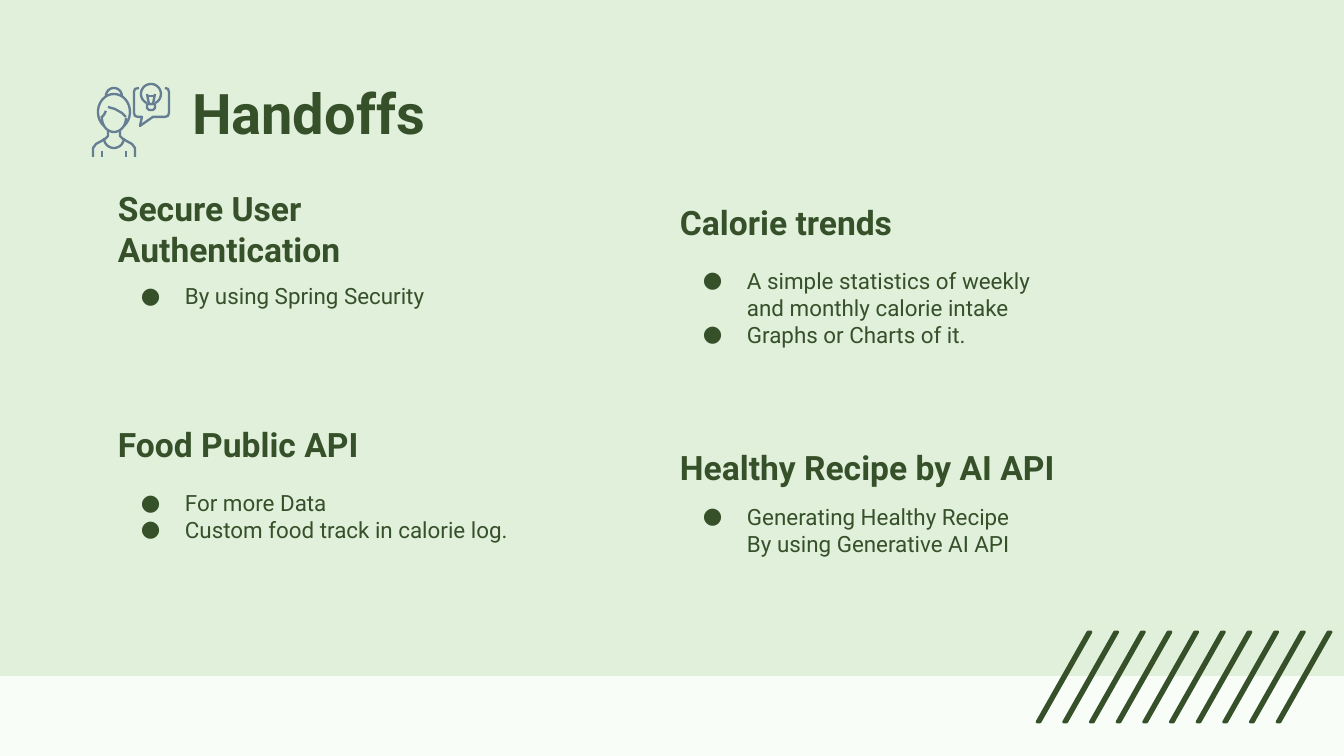
import math
from dataclasses import dataclass

import lxml.etree
import pptx
import pptx.dml.color
import pptx.enum.shapes
import pptx.enum.text
import pptx.oxml.ns
import pptx.util

EMU_PER_PX = 914400 / 134.4


@dataclass(frozen=True)
class Theme:
    font: str = "Roboto"
    page: str = "F9FDF8"
    panel: str = "E0F0DA"
    ink: str = "36502A"
    icon: str = "657E93"
    title_size: int = 30
    heading_size: int = 18
    body_size: int = 12
    stripe_line: float = 1.5
    icon_line: float = 1.25


THEME = Theme()


def px(length):
    return pptx.util.Emu(round(length * EMU_PER_PX))


def rgb(value):
    return pptx.dml.color.RGBColor.from_string(value)


def paint(shape, fill, line=None, width=0):
    shape.shadow.inherit = False
    if fill:
        shape.fill.solid()
        shape.fill.fore_color.rgb = rgb(fill)
    else:
        shape.fill.background()
    if line:
        shape.line.color.rgb = rgb(line)
        shape.line.width = pptx.util.Pt(width)
    else:
        shape.line.fill.background()


def add_outline(slide, points, close):
    corners = [(px(x), px(y)) for x, y in points]
    builder = slide.shapes.build_freeform(*corners[0], scale=1.0)
    builder.add_line_segments(corners[1:], close=close)
    return builder.convert_to_shape()


def arc(cx, cy, rx, ry, start, end, steps=24):
    """Points along an ellipse; angles run clockwise from the right."""
    angles = [math.radians(start + (end - start) * i / steps) for i in range(steps + 1)]
    return [(cx + rx * math.cos(a), cy + ry * math.sin(a)) for a in angles]


def add_text_frame(slide, box, anchor):
    frame = slide.shapes.add_textbox(*map(px, box)).text_frame
    frame.word_wrap = True
    frame.vertical_anchor = anchor
    frame.margin_left = frame.margin_right = px(13)
    frame.margin_top = frame.margin_bottom = px(13)
    return frame


def add_run(paragraph, text, size, bold=False):
    run = paragraph.add_run()
    run.text = text
    run.font.name = THEME.font
    run.font.size = pptx.util.Pt(size)
    run.font.bold = bold
    run.font.color.rgb = rgb(THEME.ink)


def indent(paragraph, bulleted):
    qn = pptx.oxml.ns.qn
    properties = paragraph._p.get_or_add_pPr()
    properties.set("marL", str(px(67)))
    properties.set("indent", str(px(-44 if bulleted else 0)))
    if bulleted:
        colour = lxml.etree.SubElement(properties, qn("a:buClr"))
        lxml.etree.SubElement(colour, qn("a:srgbClr"), val=THEME.ink)
        lxml.etree.SubElement(properties, qn("a:buFont"), typeface=THEME.font)
        lxml.etree.SubElement(properties, qn("a:buChar"), char="●")
    else:
        lxml.etree.SubElement(properties, qn("a:buNone"))


def add_backdrop(slide, box):
    slide.background.fill.solid()
    slide.background.fill.fore_color.rgb = rgb(THEME.page)
    panel = slide.shapes.add_shape(pptx.enum.shapes.MSO_SHAPE.RECTANGLE, *map(px, box))
    paint(panel, THEME.panel)


def add_title(slide, box, text):
    frame = add_text_frame(slide, box, pptx.enum.text.MSO_ANCHOR.TOP)
    add_run(frame.paragraphs[0], text, THEME.title_size, bold=True)


def add_topic(slide, box, body_offset, heading, lines):
    left, top, width, height = box
    heading_frame = add_text_frame(
        slide, (left, top, width, 55), pptx.enum.text.MSO_ANCHOR.BOTTOM)
    add_run(heading_frame.paragraphs[0], heading, THEME.heading_size, bold=True)

    body = add_text_frame(
        slide, (left, top + body_offset, width, height - body_offset),
        pptx.enum.text.MSO_ANCHOR.TOP)
    for number, (text, bulleted) in enumerate(lines):
        paragraph = body.paragraphs[0] if number == 0 else body.add_paragraph()
        indent(paragraph, bulleted)
        add_run(paragraph, text, THEME.body_size)


def add_stripes(slide, box, count=10, slant=51, thickness=3):
    left, top, width, height = box
    step = (width - slant - thickness) / (count - 1)
    for number in range(count):
        foot = left + number * step
        stripe = add_outline(slide, [
            (foot + slant + thickness, top), (foot + slant, top),
            (foot, top + height), (foot + thickness, top + height)], close=True)
        paint(stripe, THEME.ink, THEME.ink, THEME.stripe_line)


def add_idea_icon(slide, box):
    left, top, width, height = box
    middle = 23  # axis of the person

    # Person: the halves mirror each other around the axis
    strokes = [
        arc(middle, 14, 8, 8, 180, 360),               # bun
        arc(middle, 30, 16, 18, 130, 410),             # hair
        arc(middle, 36, 12, 14, 0, 180),               # face
        [(17, 25), (24, 27), (31, 31), (35, 35)],      # fringe
        [(15, 29), (13, 33), (10, 36)],                # side lock
        arc(middle, 56, 10, 10, 0, 180),               # collar
    ]
    for side in (-1, 1):
        strokes += [
            [(middle + side * x, y) for x, y in
             [(6, 49), (6, 54), (9, 57), (18, 62), (21, 66), (21, 75)]],
            [(middle + side * 12, 69), (middle + side * 12, 75)],
        ]

    # Speech bubble and bulb
    strokes += [
        [(48, 6), (44, 7), (43, 10), (43, 31), (44, 34), (47, 35), (51, 35), (49, 44),
         (62, 35), (74, 35), (77, 34), (78, 31), (78, 10), (77, 7), (74, 6)],
        arc(60, 12, 10, 10, 115, 425),
        [(56, 12), (58, 22), (62, 22), (64, 12)],
        [(57, 14), (63, 14)],
        [(56, 22), (56, 26), (58, 28), (62, 28), (64, 26), (64, 22), (56, 22)],
    ]
    for stroke in strokes:
        line = add_outline(
            slide, [(left + x * width / 79, top + y * height / 77) for x, y in stroke],
            close=False)
        paint(line, None, THEME.icon, THEME.icon_line)


def build_handoffs(slide):
    add_backdrop(slide, (-9, -5, 1361, 681))
    add_title(slide, (179, 66, 722, 85), "Handoffs")

    # Topics: box, distance from heading to body, heading, (line, has bullet)
    topics = [
        ((105, 227, 418, 182), 42, "Secure User Authentication",
         [("By using Spring Security", True)]),
        ((667, 200, 418, 194), 54, "Calorie trends",
         [("A simple statistics of weekly and monthly calorie intake", True),
          ("Graphs or Charts of it.", True)]),
        ((105, 422, 418, 194), 54, "Food Public API",
         [("For more Data", True), ("Custom food track in calorie log.", True)]),
        ((667, 445, 418, 185), 45, "Healthy Recipe by AI API",
         [("Generating Healthy Recipe", True), ("By using Generative AI API", False)]),
    ]
    for topic in topics:
        add_topic(slide, *topic)

    add_stripes(slide, (1037, 632, 294, 90))
    add_idea_icon(slide, (91, 82, 79, 77))


def main():
    presentation = pptx.Presentation()
    presentation.slide_width = px(1344)
    presentation.slide_height = px(756)
    build_handoffs(presentation.slides.add_slide(presentation.slide_layouts[6]))
    presentation.save("out.pptx")


if __name__ == "__main__":
    main()
